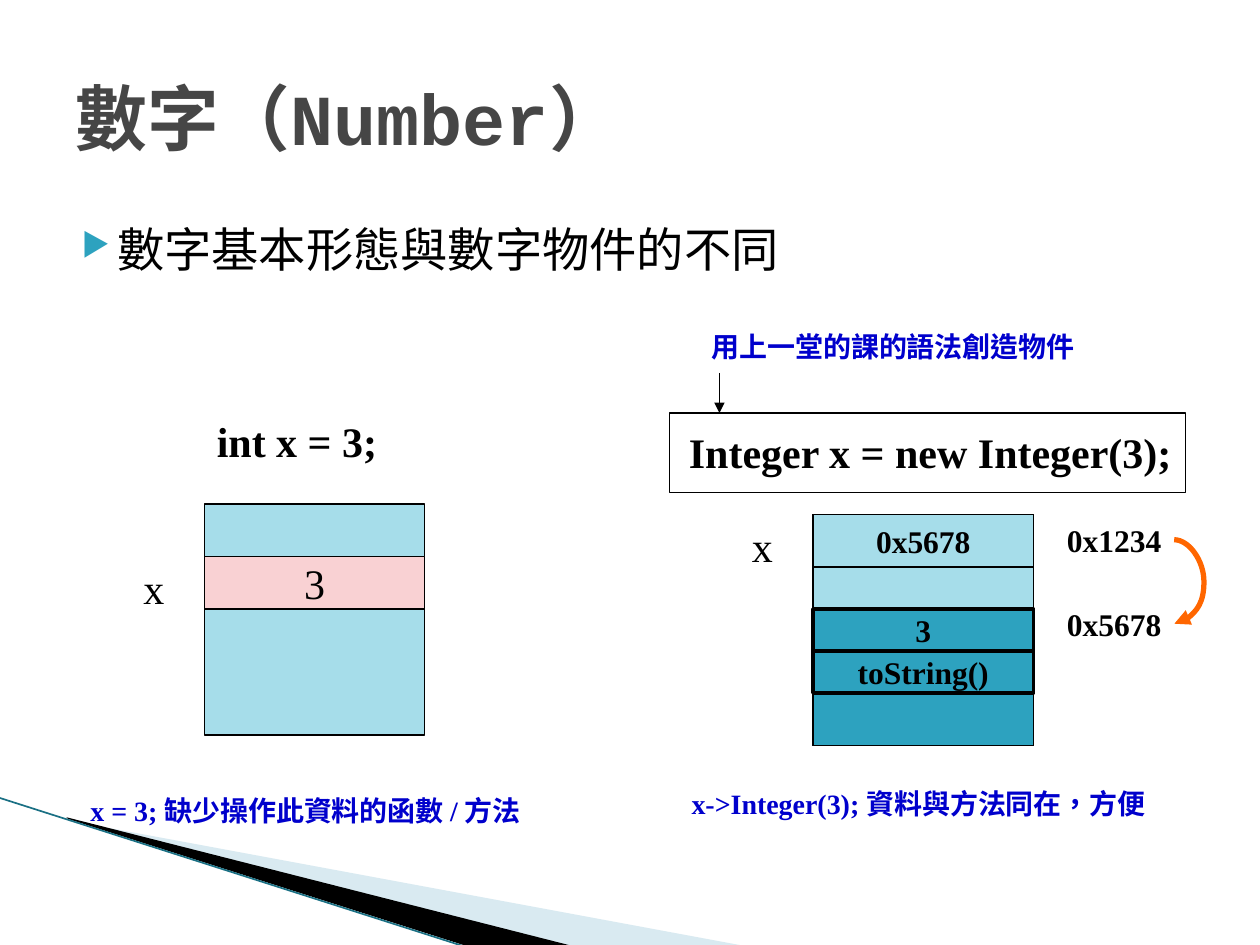
import pptx
import pptx.util
import pptx.dml.color
import pptx.enum.shapes
import pptx.enum.text
import pptx.oxml
import pptx.oxml.ns
import lxml.etree

Pt = pptx.util.Pt
RGBColor = pptx.dml.color.RGBColor
MSO_SHAPE = pptx.enum.shapes.MSO_SHAPE
MSO_CONNECTOR = pptx.enum.shapes.MSO_CONNECTOR
MSO_ANCHOR = pptx.enum.text.MSO_ANCHOR
MSO_AUTO_SIZE = pptx.enum.text.MSO_AUTO_SIZE
PP_ALIGN = pptx.enum.text.PP_ALIGN
qn = pptx.oxml.ns.qn

BLACK = RGBColor(0x00, 0x00, 0x00)
GREY = RGBColor(0x46, 0x46, 0x46)
BLUE = RGBColor(0x00, 0x00, 0xCC)
TEAL = RGBColor(0x2D, 0xA2, 0xBF)
LIGHT = RGBColor(0xA6, 0xDD, 0xEA)
PINK = RGBColor(0xF9, 0xD1, 0xD3)
ORANGE = RGBColor(0xFF, 0x66, 0x00)
WEDGE = RGBColor(0xA0, 0xCB, 0xDC)
EDGE = RGBColor(0x1A, 0x70, 0x84)
SERIF = "Times New Roman"
MONO = "Courier New"

prs = pptx.Presentation()
prs.slide_width, prs.slide_height = Pt(720), Pt(540)
s = prs.slides.add_slide(prs.slide_layouts[6])


def set_text(sp, text, size, bold, color=BLACK, font=SERIF, wrap=False):
    tf = sp.text_frame
    tf.word_wrap = wrap
    tf.text = text
    r = tf.paragraphs[0].runs[0]
    r.font.name, r.font.size, r.font.bold = font, Pt(size), bold
    r.font.color.rgb = color
    if not text.isascii():
        r._r.get_or_add_rPr().set("lang", "zh-TW")
    return tf


def add_line(kind, x1, y1, x2, y2, color, width, arrow):
    ln = s.shapes.add_connector(kind, Pt(x1), Pt(y1), Pt(x2), Pt(y2))
    ln.line.color.rgb, ln.line.width = color, Pt(width)
    if arrow:
        lxml.etree.SubElement(ln.line._get_or_add_ln(), qn("a:tailEnd"), type="triangle")
    lxml.etree.SubElement(ln._element.spPr, qn("a:effectLst"))
    return ln


# Corner wedges: points, fill, opacity in percent
wedges = [
    ([(39.6, 468.7), (428.4, 540.7), (328.3, 540.7), (39.6, 468)], WEDGE, 40),
    ([(38.2, 467.3), (329, 540.7), (267.8, 541.4), (38.9, 468)], BLACK, 100),
]
for points, color, opacity in wedges:
    fb = s.shapes.build_freeform(*points[0], scale=12700)
    fb.add_line_segments(points[1:], close=True)
    sp = fb.convert_to_shape()
    sp.shadow.inherit = False
    sp.fill.solid()
    sp.fill.fore_color.rgb = color
    sp.line.fill.background()
    if opacity < 100:
        clr = sp._element.spPr.find(".//" + qn("a:srgbClr"))
        lxml.etree.SubElement(clr, qn("a:alpha"), val=str(opacity * 1000))
add_line(MSO_CONNECTOR.STRAIGHT, -0.7, 455.8, 267.1, 541.4, EDGE, 0.95, False)

# Title
sp = s.shapes.add_textbox(Pt(36), Pt(21.6), Pt(648), Pt(90))
tf = set_text(sp, "數字（Number）", 41, True, GREY, MONO, True)
tf.vertical_anchor = MSO_ANCHOR.MIDDLE

# Bullet line
sp = s.shapes.add_textbox(Pt(31), Pt(122.4), Pt(671), Pt(45.4))
tf = set_text(sp, "數字基本形態與數字物件的不同", 27, False, BLACK, MONO, True)
pPr = tf.paragraphs[0]._p.get_or_add_pPr()
pPr.set("marL", str(Pt(28.8)))
pPr.set("indent", str(Pt(-20.2)))
bu_clr = lxml.etree.SubElement(pPr, qn("a:buClr"))
lxml.etree.SubElement(bu_clr, qn("a:srgbClr"), val=str(TEAL))
lxml.etree.SubElement(pPr, qn("a:buSzPct"), val="68000")
lxml.etree.SubElement(pPr, qn("a:buChar"), char="▶")

# Memory cells, back to front: left, top, height, fill, line width, text, size, bold
INT_X, OBJ_X = 116.8, 464.6
cells = [
    (INT_X, 288, 132, LIGHT, 0.75, "", 0, False),
    (INT_X, 318, 30, PINK, 0.75, "3", 24, False),
    (OBJ_X, 294, 132, LIGHT, 0.75, "", 0, False),
    (OBJ_X, 294, 30, LIGHT, 0.75, "0x5678", 18, True),
    (OBJ_X, 348, 78, TEAL, 0.75, "", 0, False),
    (OBJ_X, 348, 24, TEAL, 2.25, "3", 18, True),
    (OBJ_X, 372, 24, TEAL, 2.25, "toString()", 18, True),
]
for x, y, h, color, width, text, size, bold in cells:
    sp = s.shapes.add_shape(MSO_SHAPE.RECTANGLE, Pt(x), Pt(y), Pt(126), Pt(h))
    sp.shadow.inherit = False
    sp.fill.solid()
    sp.fill.fore_color.rgb = color
    sp.line.color.rgb, sp.line.width = BLACK, Pt(width)
    if text:
        tf = set_text(sp, text, size, bold)
        tf.vertical_anchor = MSO_ANCHOR.MIDDLE
        tf.paragraphs[0].alignment = PP_ALIGN.CENTER

# Code, variable names and addresses: text, left, top, width, height, size, bold
labels = [
    ("int x = 3;", 116.8, 234, 106, 36, 24, True),
    ("x", 74.8, 318, 26.6, 36, 24, False),
    ("Integer x = new Integer(3);", 386.6, 240, 291, 36, 24, True),
    ("x", 422.6, 294, 26.6, 36, 24, False),
    ("0x1234", 602.6, 294, 68.4, 29, 18, True),
    ("0x5678", 602.6, 342, 68.4, 29, 18, True),
]
for text, x, y, w, h, size, bold in labels:
    sp = s.shapes.add_textbox(Pt(x), Pt(y), Pt(w), Pt(h))
    tf = set_text(sp, text, size, bold)
    tf.auto_size = MSO_AUTO_SIZE.SHAPE_TO_FIT_TEXT

# Blue remarks: text, left, top, width
remarks = [
    ("x = 3; 缺少操作此資料的函數 / 方法", 44.6, 450, 264),
    ("x->Integer(3); 資料與方法同在，方便", 388.1, 445.7, 276),
    ("用上一堂的課的語法創造物件", 399.6, 185, 276),
]
for text, x, y, w in remarks:
    sp = s.shapes.add_textbox(Pt(x), Pt(y), Pt(w), Pt(26.6))
    set_text(sp, text, 16, True, BLUE, wrap=True)

# Frame around the object creation, with its arrow
sp = s.shapes.add_shape(MSO_SHAPE.RECTANGLE, Pt(382.5), Pt(236), Pt(295), Pt(45.4))
sp.shadow.inherit = False
sp.fill.background()
sp.line.color.rgb, sp.line.width = BLACK, Pt(0.75)
add_line(MSO_CONNECTOR.STRAIGHT, 411.1, 213.1, 411.1, 236, BLACK, 0.75, True)

# Reference arrow: the adjustment bulges it 18 pt beyond its 0.12 pt width
ln = add_line(MSO_CONNECTOR.CURVE, 671, 308.4, 671.12, 356.4, ORANGE, 3, True)
av = ln._element.spPr.find(qn("a:prstGeom")).get_or_add_avLst()
lxml.etree.SubElement(av, qn("a:gd"), name="adj1", fmla="val 15000000")

prs.save("out.pptx")
